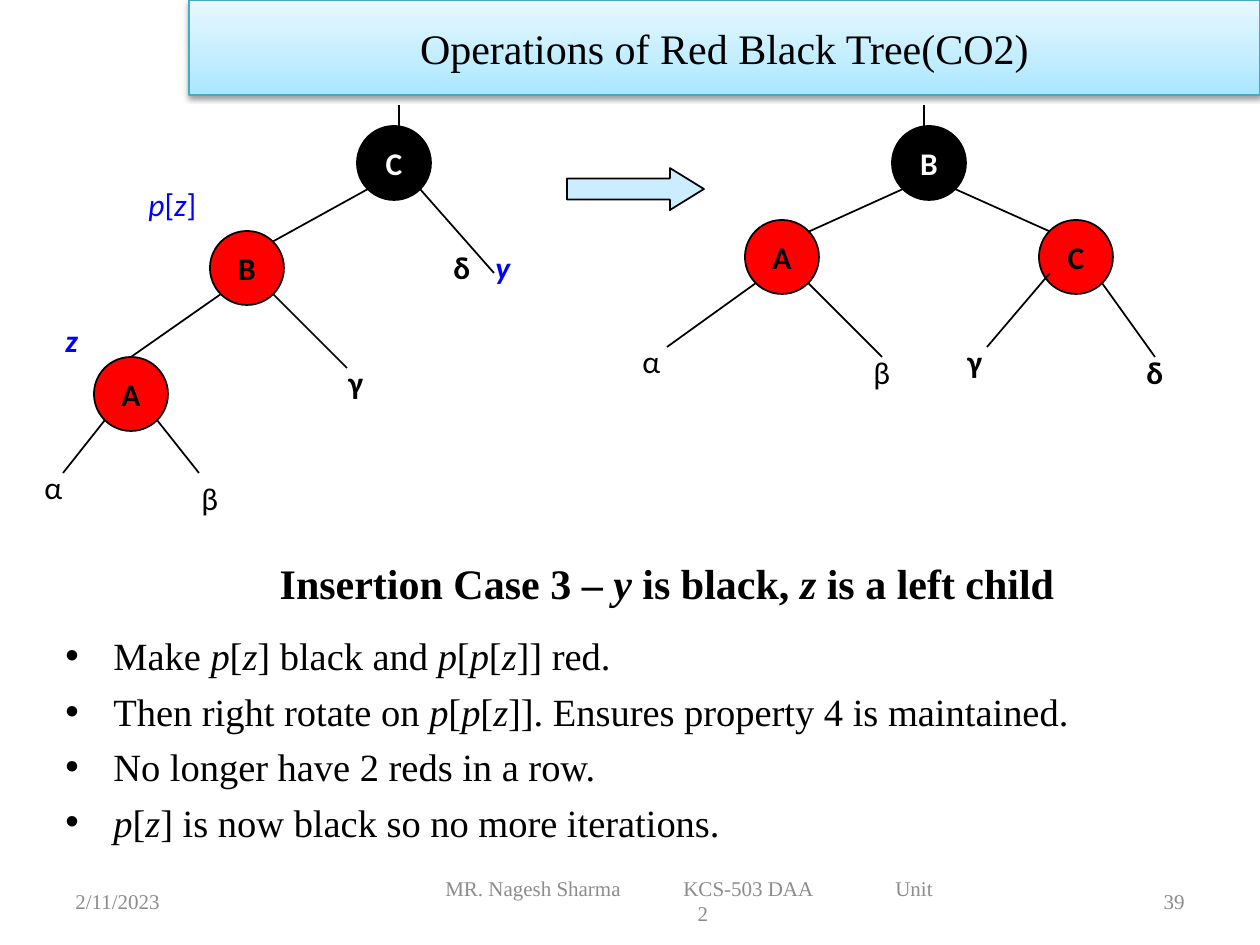
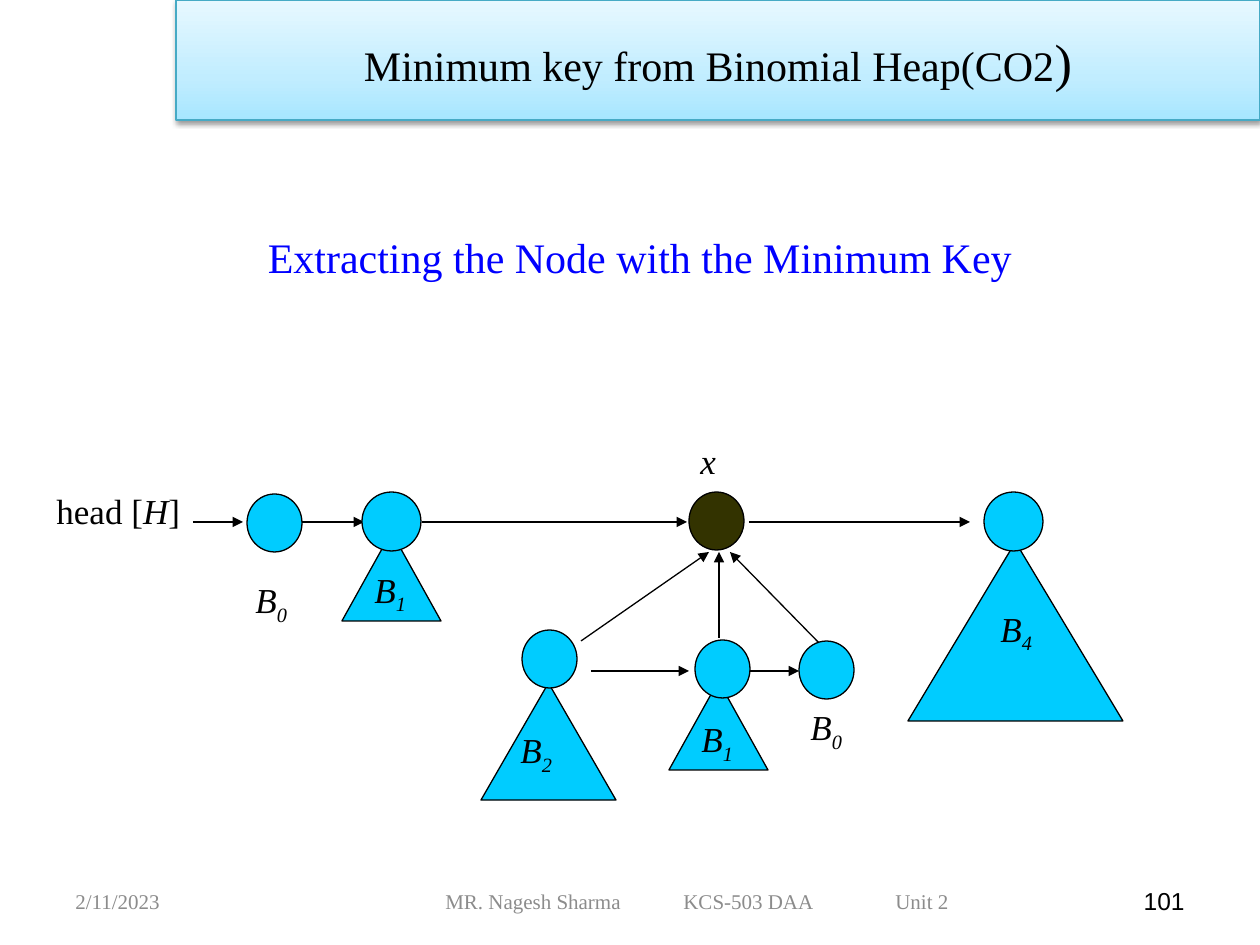
from copy import deepcopy

from lxml import etree
from pptx import Presentation
from pptx.dml.color import RGBColor
from pptx.enum.shapes import MSO_CONNECTOR, MSO_SHAPE
from pptx.enum.text import MSO_ANCHOR, PP_ALIGN
from pptx.oxml.ns import qn
from pptx.util import Pt

PX = 914400 / 126
PAGE_W, PAGE_H = 1260, 945

LEFT, CENTER, RIGHT = PP_ALIGN.LEFT, PP_ALIGN.CENTER, PP_ALIGN.RIGHT
TOP, MIDDLE = MSO_ANCHOR.TOP, MSO_ANCHOR.MIDDLE
OVAL, TRIANGLE = MSO_SHAPE.OVAL, MSO_SHAPE.ISOSCELES_TRIANGLE
RECTANGLE, RIGHT_ARROW = MSO_SHAPE.RECTANGLE, MSO_SHAPE.RIGHT_ARROW
STRAIGHT = MSO_CONNECTOR.STRAIGHT

BLACK = RGBColor(0x00, 0x00, 0x00)
WHITE = RGBColor(0xFF, 0xFF, 0xFF)
RED = RGBColor(0xFF, 0x00, 0x00)
BLUE = RGBColor(0x00, 0x00, 0xFF)
GRAY = RGBColor(0x8C, 0x8C, 0x8C)
PALE_BLUE = RGBColor(0xCC, 0xEC, 0xFF)
SKY = RGBColor(0x00, 0xCC, 0xFF)
OLIVE = RGBColor(0x33, 0x33, 0x00)
BAND_LINE = RGBColor(0x46, 0xAA, 0xC5)
BAND_STOPS = ((0, RGBColor(0xA7, 0xE6, 0xFF)),
              (0.35, RGBColor(0xC1, 0xED, 0xFF)),
              (1, RGBColor(0xE7, 0xF8, 0xFF)))

SERIF, SANS, ARIAL = "Times New Roman", "Calibri", "Arial"
NODE_SIZE = 74
NODE_INSET = 11  # branches meet a node this far inside its bounding box


def px(value):
    return round(value * PX)


def add_xml(parent, tag, **attributes):
    values = {name: str(value) for name, value in attributes.items()}
    return etree.SubElement(parent, qn(tag), values)


class Deck:
    def __init__(self):
        self.deck = Presentation()
        self.deck.slide_width, self.deck.slide_height = px(PAGE_W), px(PAGE_H)
        self.page = None

    def new_page(self):
        self.page = self.deck.slides.add_slide(self.deck.slide_layouts[6])

    def fill_para(self, para, text, size, font=SERIF, color=BLACK, bold=False,
                  align=LEFT):
        """Fill a paragraph; *x* is italic and x_0 has a subscript."""
        para.alignment = align
        para.font.size, para.font.name = Pt(size), font
        para.font.color.rgb, para.font.bold = color, bold
        for index, part in enumerate(text.split("*")):
            base, _, subscript = part.partition("_")
            for piece, offset in ((base, 0), (subscript, -25000)):
                if piece:
                    span = para.add_run()
                    span.text = piece
                    if index % 2:
                        span.font.italic = True
                    if offset:
                        span._r.get_or_add_rPr().set("baseline", str(offset))

    def frame(self, left, top, width, height, anchor=TOP):
        box = self.page.shapes.add_textbox(px(left), px(top), px(width), px(height))
        box.text_frame.word_wrap = True
        box.text_frame.vertical_anchor = anchor
        return box.text_frame

    def text(self, left, top, width, height, text, size, anchor=TOP, **style):
        frame = self.frame(left, top, width, height, anchor)
        self.fill_para(frame.paragraphs[0], text, size, **style)

    def bullets(self, left, top, width, height, items, size, indent):
        frame = self.frame(left, top, width, height)
        for index, item in enumerate(items):
            para = frame.add_paragraph() if index else frame.paragraphs[0]
            if index:
                para.space_before = Pt(5.3)
            properties = para._p.get_or_add_pPr()
            properties.set("marL", str(px(indent)))
            properties.set("indent", str(-px(indent)))
            add_xml(properties, "a:buFont", typeface=ARIAL)
            add_xml(properties, "a:buChar", char="•")
            self.fill_para(para, item, size)

    def shape(self, kind, left, top, width, height, fill, line=BLACK, weight=0.75):
        shape = self.page.shapes.add_shape(
            kind, px(left), px(top), px(width), px(height))
        shape.shadow.inherit = False
        if fill is not None:
            shape.fill.solid()
            shape.fill.fore_color.rgb = fill
        shape.line.color.rgb, shape.line.width = line, Pt(weight)
        return shape

    def line(self, start, end, weight=1.0, arrow=False):
        line = self.page.shapes.add_connector(
            STRAIGHT, *(px(value) for value in (*start, *end)))
        line.line.color.rgb, line.line.width = BLACK, Pt(weight)
        if arrow:
            add_xml(line.line._get_or_add_ln(), "a:tailEnd", type="triangle")
        add_xml(line._element.spPr, "a:effectLst")

    def arrow(self, start, end):
        self.line(start, end, 0.75, arrow=True)

    def node(self, name, left, top, fill, *ends):
        """Draw a tree node and its branches, left one first; None skips one."""
        circle = self.shape(OVAL, left, top, NODE_SIZE, NODE_SIZE, fill, weight=1)
        frame = circle.text_frame
        frame.word_wrap, frame.vertical_anchor = False, MIDDLE
        self.fill_para(frame.paragraphs[0], name, 18, SANS,
                       WHITE if fill == BLACK else BLACK, True, CENTER)
        outer = NODE_SIZE - NODE_INSET
        for offset, end in zip((NODE_INSET, outer), ends):
            if end:
                self.line((left + offset, top + outer), end)

    def tree_label(self, text, left, top, bold=False, color=BLACK):
        self.text(left, top, 90, 63, text, 18, font=SANS, color=color, bold=bold)

    def heap(self, name, name_at, circle, triangle=None, fill=SKY):
        """Draw a root circle, the subtree under it and its name."""
        if triangle:
            self.shape(TRIANGLE, *triangle, SKY)
        self.shape(OVAL, *circle, fill)
        self.text(*name_at, 90, 54, name, 20)

    def band(self, left, height, title, ending="", ending_size=24):
        band = self.shape(RECTANGLE, left, 0, PAGE_W - left, height, None, BAND_LINE)
        band.fill.gradient()
        band.fill.gradient_angle = 90
        stops = band._element.spPr.find(".//" + qn("a:gsLst"))
        stops.append(deepcopy(stops[0]))
        for stop, (position, color) in zip(band.fill.gradient_stops, BAND_STOPS):
            stop.position, stop.color.rgb = position, color
        effects = band._element.spPr.find(qn("a:effectLst"))
        shadow = add_xml(effects, "a:outerShdw", blurRad=40000, dist=20000,
                         dir=5400000, rotWithShape=0)
        add_xml(add_xml(shadow, "a:srgbClr", val="000000"), "a:alpha", val=38000)
        frame = band.text_frame
        frame.word_wrap, frame.vertical_anchor = True, MIDDLE
        para = frame.paragraphs[0]
        self.fill_para(para, title, 24, align=CENTER)
        if ending:
            span = para.add_run()
            span.text, span.font.size = ending, Pt(ending_size)

    def footer(self, number, unit_lines, **number_style):
        top, height = 876, 50
        self.text(63, top, 294, height, "2/11/2023", 12, MIDDLE, color=GRAY)
        style = {"size": 12, "color": GRAY, **number_style}
        self.text(903, top, 294, height, number, anchor=MIDDLE, align=RIGHT, **style)
        frame = self.frame(433, top, 540, height, MIDDLE)
        first, *rest = unit_lines
        para = frame.paragraphs[0]
        tabs = add_xml(para._p.get_or_add_pPr(), "a:tabLst")
        for position in (238, 450):
            add_xml(tabs, "a:tab", pos=px(position), algn="l")
        self.fill_para(para, f"MR. Nagesh Sharma\tKCS-503 DAA\t{first}", 12,
                       color=GRAY)
        for line in rest:
            self.fill_para(frame.add_paragraph(), line, 12, color=GRAY, align=CENTER)

    def save(self):
        self.deck.save("out.pptx")


def red_black_page(deck):
    deck.new_page()
    deck.text(77, 520, 1180, 126,
              "Insertion Case 3 – *y *is black, *z* is a left child",
              24, MIDDLE, bold=True, align=CENTER)
    deck.bullets(53, 626, 1165, 213, (
        "Make *p*[*z*] black and *p*[*p*[*z*]] red.",
        "Then right rotate on *p*[*p*[*z*]]. Ensures property 4 is maintained.",
        "No longer have 2 reds in a row.",
        "*p*[*z*] is now black so no more iterations."), 22, 48)

    arrow = deck.shape(RIGHT_ARROW, 567, 168, 137, 42, PALE_BLUE, weight=1)
    arrow.adjustments[1] = 0.81

    for name, left, top, fill, *ends in (
            ("C", 357, 126, BLACK, (272, 242), (494, 273)),
            ("B", 210, 231, RED, (131, 357), (347, 368)),
            ("A", 94, 357, RED, (63, 473), (199, 473)),
            ("B", 892, 126, BLACK, (808, 232), (1051, 232)),
            ("A", 745, 220, RED, (667, 347), (882, 357)),
            ("C", 1039, 220, RED, None, (1155, 357))):
        deck.node(name, left, top, fill, *ends)
    deck.line((1050, 273), (987, 347))
    for root_x in (399, 924):
        deck.line((root_x, 105), (root_x, 126))

    for text, left, top in (("α", 32, 462), ("β", 189, 473),
                            ("α", 630, 336), ("β", 861, 347)):
        deck.tree_label(text, left, top)
    for text, left, top in (("γ", 336, 357), ("δ", 441, 242),
                            ("γ", 955, 336), ("δ", 1134, 347)):
        deck.tree_label(text, left, top, bold=True)
    deck.tree_label("*p*[*z*]", 136, 179, color=BLUE)
    for text, left, top in (("*y*", 483, 242), ("*z*", 53, 315)):
        deck.tree_label(text, left, top, bold=True, color=BLUE)

    deck.footer("39", ("Unit", "2"))
    deck.band(189, 95, "Operations of Red Black Tree(CO2)")


def binomial_heap_page(deck):
    deck.new_page()
    deck.text(40, 178, 1200, 158, "Extracting the Node with the Minimum Key",
              24, MIDDLE, color=BLUE, align=CENTER)

    for row, start, end in ((522, 193, 243), (522, 302, 364), (522, 422, 687),
                            (522, 749, 970), (671, 591, 689), (671, 748, 799)):
        deck.arrow((start, row), (end, row))
    for start, end_x in (((581, 641), 709), ((719, 638), 719), ((825, 649), 730)):
        deck.arrow(start, (end_x, 552))

    small, large = (55, 58), (59, 59)
    for name, name_at, circle, triangle in (
            ("*B_0*", (243, 572), (247, 494, *small), None),
            ("*B_1*", (362, 562), (362, 492, *large), (342, 532, 99, 89)),
            ("*B_2*", (508, 722), (522, 630, *small), (481, 683, 135, 117)),
            ("*B_1*", (689, 711), (695, 640, *small), (669, 681, 99, 89)),
            ("*B_0*", (798, 699), (799, 641, *small), None),
            ("*B_4*", (988, 601), (984, 492, *large), (908, 542, 215, 179))):
        deck.heap(name, name_at, circle, triangle)
    deck.heap("*x*", (688, 433), (689, 492, *small), fill=OLIVE)
    deck.text(44, 483, 160, 54, "head [*H*]", 20)

    deck.footer("101", ("Unit 2",), size=14, font=ARIAL, color=BLACK)
    deck.band(176, 120, "Minimum key from Binomial Heap(CO2", ")", 30)


def main():
    deck = Deck()
    red_black_page(deck)
    binomial_heap_page(deck)
    deck.save()


if __name__ == "__main__":
    main()
